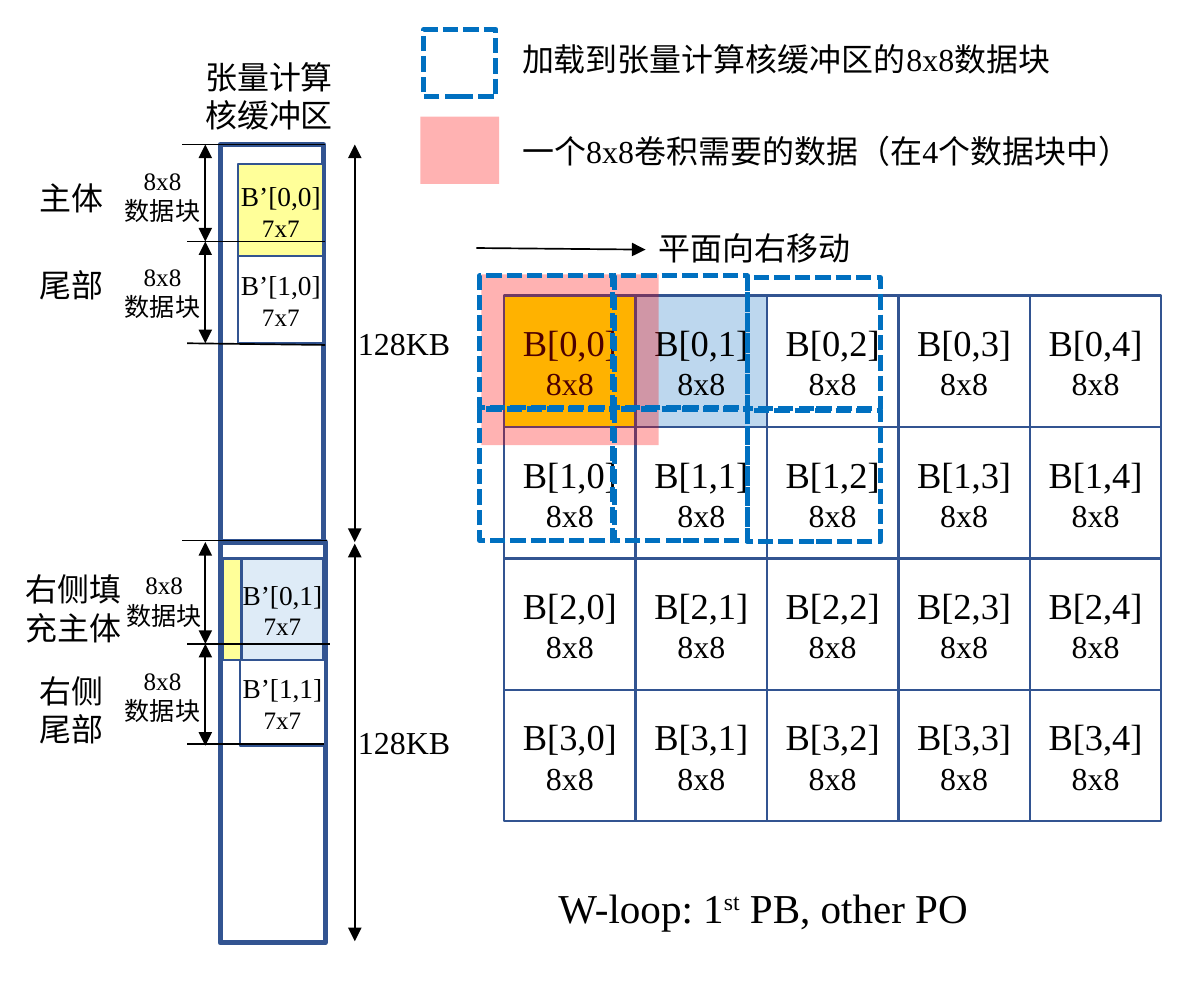
from lxml import etree
from pptx import Presentation
from pptx.dml.color import RGBColor
from pptx.enum.dml import MSO_LINE
from pptx.enum.shapes import MSO_CONNECTOR, MSO_SHAPE
from pptx.enum.text import MSO_ANCHOR, PP_ALIGN
from pptx.oxml.ns import qn
from pptx.util import Inches, Pt

RECT = MSO_SHAPE.RECTANGLE
STRAIGHT = MSO_CONNECTOR.STRAIGHT
DASH = MSO_LINE.SQUARE_DOT
LEFT, CENTER = PP_ALIGN.LEFT, PP_ALIGN.CENTER
TOP, MIDDLE = MSO_ANCHOR.TOP, MSO_ANCHOR.MIDDLE

COLORS = {
    "black": "000000", "white": "FFFFFF", "navy": "325491", "dash": "0070C0",
    "red": "FF0000", "yellow": "FFFF00", "pale_yellow": "FFFF99",
    "blue": "BDD7EE", "pale_blue": "DEEBF7",
}
INSETS = {
    "margin_left": Inches(0.1), "margin_right": Inches(0.1),
    "margin_top": Inches(0.05), "margin_bottom": Inches(0.05),
}


def color(name):
    return RGBColor.from_string(COLORS[name])


def set_all(target, values):
    for name, value in values.items():
        setattr(target, name, value)


class Diagram:
    font = "Times New Roman"

    def __init__(self, slide):
        self.s = slide

    def put_lines(self, tf, lines, sizes, align=LEFT, wrap=True, anchor=TOP):
        set_all(tf, {**INSETS, "word_wrap": wrap, "vertical_anchor": anchor})
        for i, (line, size) in enumerate(zip(lines, sizes)):
            p = tf.add_paragraph() if i else tf.paragraphs[0]
            p.alignment = align
            self.add_text(p, line, size)
        return tf.paragraphs[0]

    def add_text(self, p, text, size):
        r = p.add_run()
        r.text = text
        set_all(r.font, {"name": self.font, "size": Pt(size)})
        r.font.color.rgb = color("black")
        return r

    def title(self, box, parts, size):
        """Fill the title from parts; every second part is superscript."""
        sp = self.s.shapes.title
        set_all(sp, dict(zip(("left", "top", "width", "height"), map(Inches, box))))
        p = self.put_lines(sp.text_frame, parts[:1], [size], wrap=False)
        for i, part in enumerate(parts[1:], 1):
            r = self.add_text(p, part, size)
            if i % 2:
                r._r.get_or_add_rPr().set("baseline", "30000")

    def text(self, box, lines, size=14, **style):
        sp = self.s.shapes.add_textbox(*map(Inches, box))
        self.put_lines(sp.text_frame, lines, [size] * len(lines), **style)

    def rect(self, box, fill=None, line=None, width=1.0, alpha=None, dash=None, group=None):
        sp = (group or self.s).shapes.add_shape(RECT, *map(Inches, box))
        sp.shadow.inherit = False
        if fill:
            sp.fill.solid()
            sp.fill.fore_color.rgb = color(fill)
        else:
            sp.fill.background()
        if alpha:
            clr = sp._element.spPr.find(qn("a:solidFill"))[0]
            etree.SubElement(clr, qn("a:alpha")).set("val", str(alpha * 1000))
        if line:
            sp.line.color.rgb = color(line)
            set_all(sp.line, {"width": Pt(width), "dash_style": dash})
        else:
            sp.line.fill.background()
        return sp

    def block(self, box, lines, sizes, fill, wrap=True, group=None):
        sp = self.rect(box, fill, "navy", group=group)
        self.put_lines(sp.text_frame, lines, sizes, CENTER, wrap, MIDDLE)

    def dashed(self, box, group=None):
        self.rect(box, line="dash", width=2.25, dash=DASH, group=group)

    def line(self, x1, y1, x2, y2, heads=()):
        """Draw a line; heads names its ends with arrows: headEnd, tailEnd."""
        c = self.s.shapes.add_connector(STRAIGHT, *map(Inches, (x1, y1, x2, y2)))
        c.line.color.rgb = color("black")
        c.line.width = Pt(0.75)
        ln = c._element.spPr.find(qn("a:ln"))
        for end in heads:
            etree.SubElement(ln, qn(f"a:{end}")).set("type", "triangle")
        etree.SubElement(c._element.spPr, qn("a:effectLst"))

    def span(self, x, top, bottom):
        self.line(x, top, x, bottom, ("headEnd", "tailEnd"))


def draw_plane(d):
    cell = 0.8
    cells = d.s.shapes.add_group_shape()
    fills = {(0, 0): "yellow", (0, 1): "blue"}
    for row in range(4):
        for col in range(5):
            d.block((3.07 + col * cell, 1.8 + row * cell, cell, cell),
                    (f"B[{row},{col}]", "8x8"), (16, 14),
                    fills.get((row, col), "white"), group=cells)
    d.rect((2.93, 1.67, 1.08, 1.04), "red", alpha=30)
    tiles = d.s.shapes.add_group_shape()
    for row in range(2):
        for left, top in ((2.92, 1.68), (3.74, 1.68), (4.55, 1.69)):
            d.dashed((left, top + row * 0.81, 0.81, 0.8), tiles)
    d.line(2.9, 1.51, 3.93, 1.52, ("tailEnd",))
    d.text((3.91, 1.34, 1.38, 0.34), ["平面向右移动"], wrap=False)


def draw_legend(d):
    d.dashed((2.58, 0.18, 0.44, 0.41))
    d.rect((2.56, 0.71, 0.48, 0.41), "red", alpha=30)
    d.text((3.08, 0.19, 3.44, 0.34), ["加载到张量计算核缓冲区的8x8数据块"])
    d.text((3.08, 0.75, 4.02, 0.34), ["一个8x8卷积需要的数据（在4个数据块中）"])


def draw_buffer(d):
    for top, width, span_top, span_end, label_top in (
            (0.88, 0.63, 0.88, 3.3, 1.92), (3.3, 0.64, 3.31, 5.73, 4.35)):
        d.rect((1.34, top, width, 2.44), "white", "navy", 2.25)
        d.span(2.16, span_top, span_end)
        d.text((2.08, label_top, 0.79, 0.34), ["128KB"], wrap=False)

    for index, box, fill in (
            ("0,0", (1.45, 1, 0.52, 0.57), "pale_yellow"),
            ("1,0", (1.45, 1.56, 0.52, 0.53), "white"),
            ("0,1", (1.47, 3.4, 0.5, 0.62), "pale_blue"),
            ("1,1", (1.46, 4.02, 0.52, 0.52), "white")):
        d.block(box, (f"B’[{index}]", "7x7"), (12, 11), fill, wrap=False)
    d.rect((1.36, 3.4, 0.11, 0.62), "pale_yellow", "navy")

    for x1, y1, x2, y2 in (
            (1.14, 2.09, 1.98, 2.1), (1.14, 1.47, 1.98, 1.47),
            (1.14, 3.92, 2.01, 3.92), (1.14, 4.53, 1.97, 4.53),
            (1.11, 3.29, 1.99, 3.29), (1.11, 0.88, 1.98, 0.88)):
        d.line(x1, y1, x2, y2)

    for top, bottom, left, label_top in (
            (0.88, 1.47, 0.62, 0.96), (1.47, 2.09, 0.62, 1.54),
            (3.3, 3.92, 0.63, 3.42), (3.92, 4.54, 0.62, 4)):
        d.span(1.25, top, bottom)
        d.text((left, label_top, 0.74, 0.47), ("8x8", "数据块"), 11, align=CENTER)

    for label, box in (
            ("主体", (0.14, 1.04, 0.59, 0.34)),
            ("尾部", (0.14, 1.57, 0.61, 0.34)),
            ("右侧填充主体", (0.06, 3.42, 0.8, 0.57)),
            ("右侧尾部", (0.14, 4.04, 0.66, 0.57)),
            ("张量计算核缓冲区", (1.15, 0.3, 0.99, 0.57))):
        d.text(box, [label])


def main():
    prs = Presentation()
    prs.slide_width, prs.slide_height = Inches(7.33), Inches(6.1)
    d = Diagram(prs.slides.add_slide(prs.slide_layouts[5]))
    draw_plane(d)
    draw_legend(d)
    draw_buffer(d)
    d.title((3.3, 5.32, 2.73, 0.4), ("W-loop: 1", "st", " PB, other PO"), 18)
    prs.save("out.pptx")


if __name__ == "__main__":
    main()
